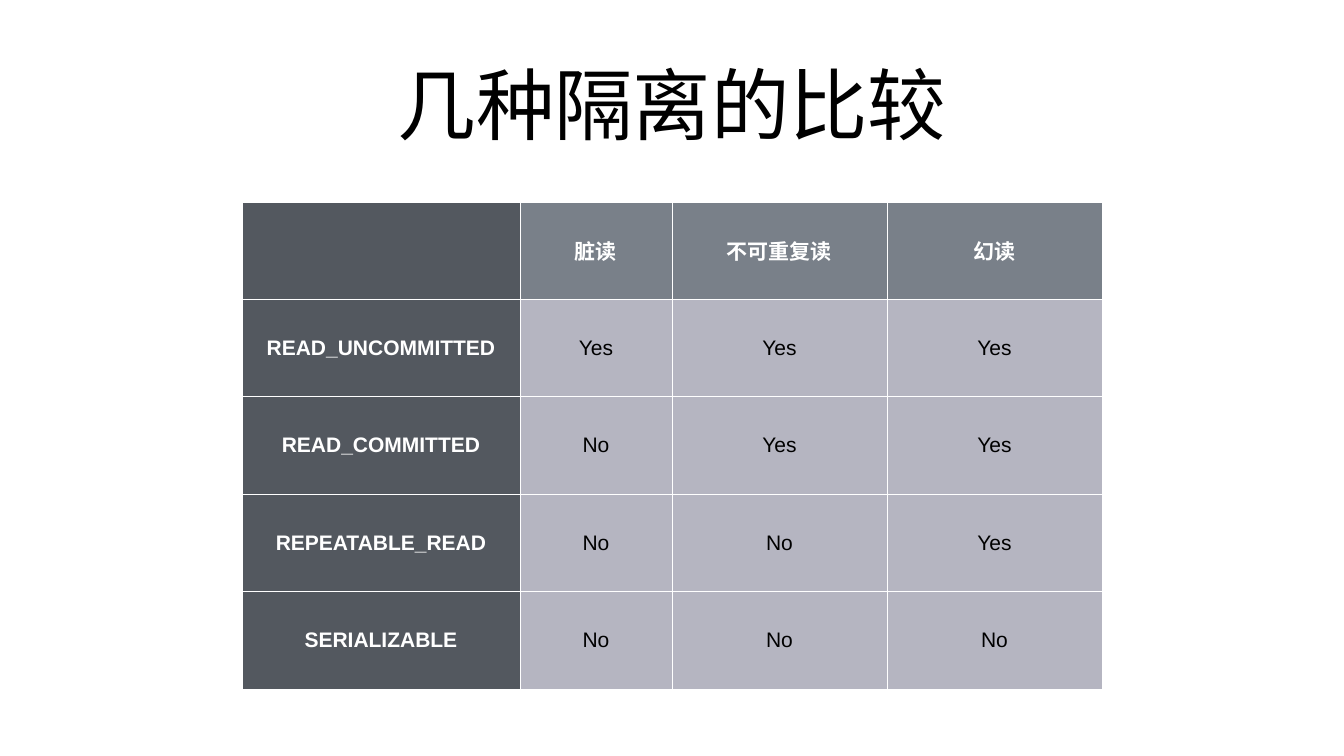
from lxml import etree
from pptx import Presentation
from pptx.dml.color import RGBColor
from pptx.enum.text import MSO_ANCHOR, PP_ALIGN
from pptx.oxml.ns import qn
from pptx.util import Pt

MIDDLE = MSO_ANCHOR.MIDDLE
CENTER = PP_ALIGN.CENTER
TITLE_ONLY = 5
PX = 18143  # EMU in one px
FONT = "Arial"
COLORS = {
    "text": "000000",
    "white": "FFFFFF",
    "header": "798089",
    "side": "53585F",
    "body": "B5B5C1",
}
TITLE = "几种隔离的比较"
ROWS = [
    ["", "脏读", "不可重复读", "幻读"],
    ["READ_UNCOMMITTED", "Yes", "Yes", "Yes"],
    ["READ_COMMITTED", "No", "Yes", "Yes"],
    ["REPEATABLE_READ", "No", "No", "Yes"],
    ["SERIALIZABLE", "No", "No", "No"],
]
COL_WIDTHS = [278, 152, 215, 215]


def px(n):
    return int(n * PX)


def rgb(name):
    return RGBColor.from_string(COLORS[name])


def format_text(p, size, color, bold=False):
    p.alignment = CENTER
    for r in p.runs:
        r.font.name = FONT
        r.font.size = Pt(size)
        r.font.bold = bold
        r.font.color.rgb = rgb(color)


def set_margins(obj, margin):
    obj.margin_left = obj.margin_right = margin
    obj.margin_top = obj.margin_bottom = margin


def add_borders(cell, color):
    """Draw a 1 pt line on all sides; call before the cell is filled."""
    tc_pr = cell._tc.get_or_add_tcPr()
    for side in ("lnL", "lnR", "lnT", "lnB"):
        ln = etree.SubElement(tc_pr, qn(f"a:{side}"), w=str(Pt(1)))
        fill = etree.SubElement(ln, qn("a:solidFill"))
        etree.SubElement(fill, qn("a:srgbClr"), val=COLORS[color])


def place_title(slide, x, y, w, h):
    title = slide.shapes.title
    title.left, title.top, title.width, title.height = map(px, (x, y, w, h))
    tf = title.text_frame
    tf.text = TITLE
    tf.word_wrap = True
    tf.vertical_anchor = MIDDLE
    set_margins(tf, px(4))
    format_text(tf.paragraphs[0], 112, "text")


def add_comparison(slide, x, y, w, h):
    frame = slide.shapes.add_table(len(ROWS), len(COL_WIDTHS), *map(px, (x, y, w, h)))
    table = frame.table
    table.first_row = table.horz_banding = False
    for col, width in zip(table.columns, COL_WIDTHS):
        col.width = px(width)
    for row in table.rows:
        row.height = px(h / len(ROWS))
    for i, texts in enumerate(ROWS):
        for j, text in enumerate(texts):
            cell = table.cell(i, j)
            is_label = i == 0 or j == 0
            fill = "side" if j == 0 else "header" if i == 0 else "body"
            add_borders(cell, "white")
            cell.fill.solid()
            cell.fill.fore_color.rgb = rgb(fill)
            cell.vertical_anchor = MIDDLE
            set_margins(cell, px(3))
            cell.text = text
            format_text(cell.text_frame.paragraphs[0], 30,
                        "white" if is_label else "text", is_label)


def main():
    prs = Presentation()
    prs.slide_width, prs.slide_height = px(1344), px(756)
    slide = prs.slides.add_slide(prs.slide_layouts[TITLE_ONLY])
    slide.background.fill.solid()
    slide.background.fill.fore_color.rgb = rgb("white")
    place_title(slide, 242, 20, 860, 167)
    add_comparison(slide, 242, 202, sum(COL_WIDTHS), 487)
    prs.save("out.pptx")


if __name__ == "__main__":
    main()
